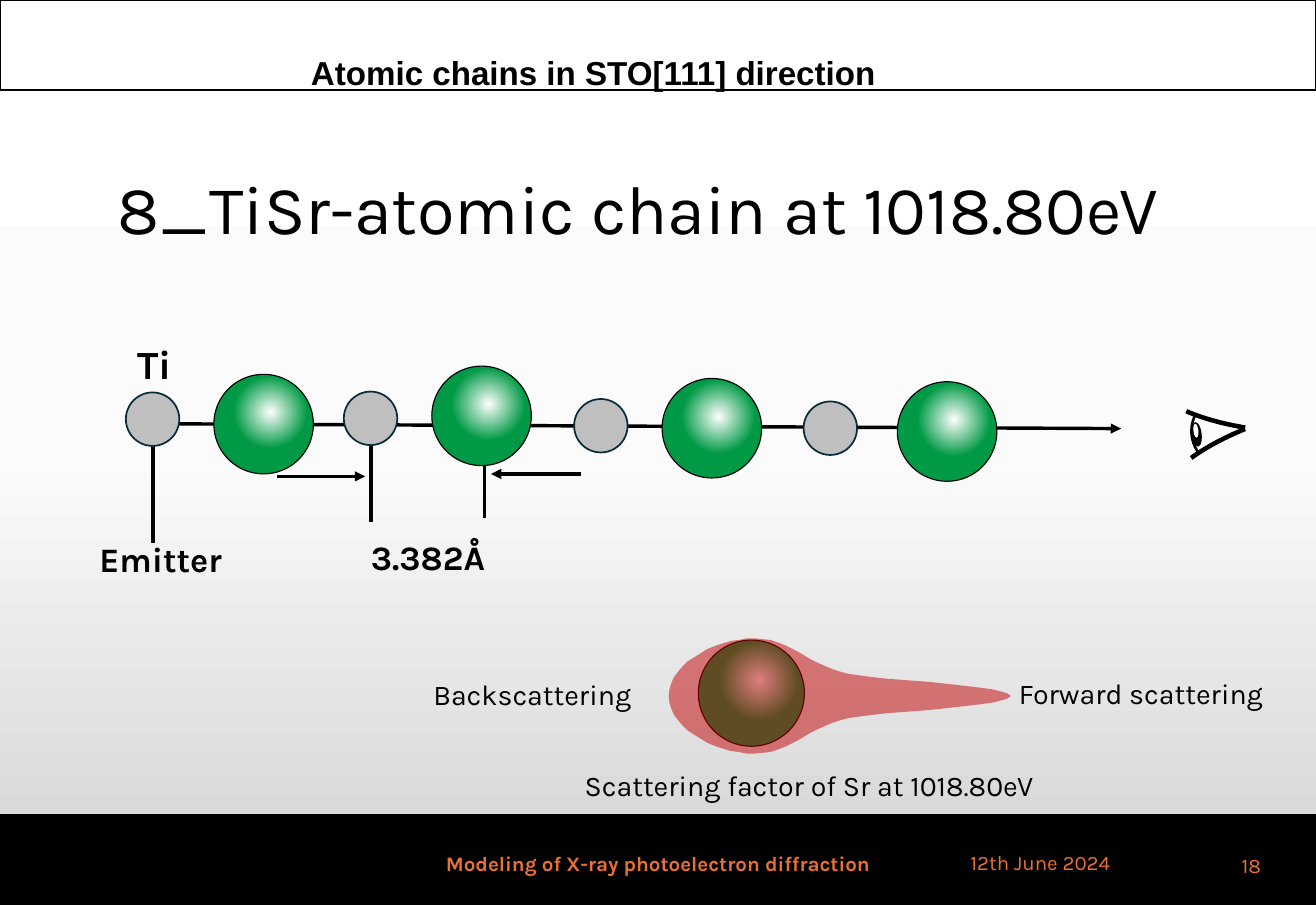
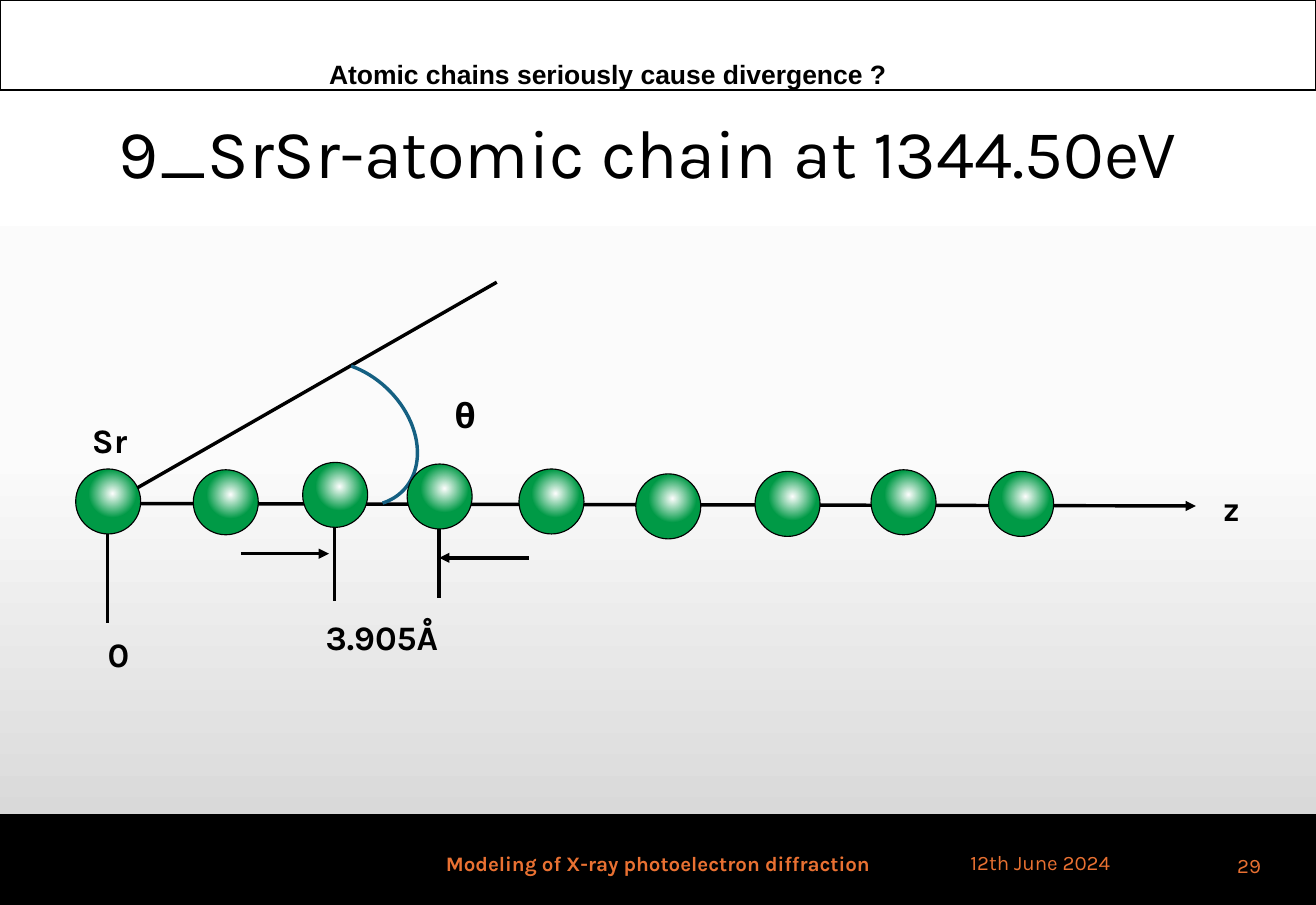
from pptx import Presentation
from pptx.dml.color import RGBColor
from pptx.enum.shapes import MSO_CONNECTOR, MSO_SHAPE
from pptx.enum.text import MSO_ANCHOR, MSO_AUTO_SIZE, PP_ALIGN
from pptx.oxml import parse_xml
from pptx.oxml.ns import nsdecls, qn
from pptx.util import Inches, Pt

COLS, ROWS = 16, 11
BAND = 1.09
BLACK = RGBColor(0x00, 0x00, 0x00)
WHITE = RGBColor(0xFF, 0xFF, 0xFF)
ORANGE = RGBColor(0xE9, 0x71, 0x32)
GREEN = RGBColor(0x00, 0x9A, 0x46)
GREY = RGBColor(0xBF, 0xBF, 0xBF)
NAVY = RGBColor(0x09, 0x2A, 0x39)
BLUE = RGBColor(0x15, 0x60, 0x82)
RED = RGBColor(0xC0, 0x00, 0x00)
MIST = RGBColor(0xFB, 0xFB, 0xFB)
SILVER = RGBColor(0xD1, 0xD1, 0xD1)
BACK = [(0, WHITE, 100), (50, MIST, 100), (100, SILVER, 100)]
GLOW = [(0, WHITE, 100), (60, WHITE, 0)]
DOWN = '<a:lin ang="5400000" scaled="0"/>'
ROUND = ('<a:path path="circle"><a:fillToRect l="50000" t="50000" '
         'r="50000" b="50000"/></a:path>')
LOBE = [(0, 0), (.01, .08), (.03, .15), (.06, .22), (.11, .29), (.17, .36),
        (.23, .42), (.31, .47), (.39, .52), (.47, .57), (.57, .61),
        (.66, .64), (.76, .67), (.85, .68), (.95, .7), (1.05, .7),
        (1.15, .69), (1.24, .68), (1.33, .65), (1.41, .62), (1.49, .58),
        (1.57, .54), (1.72, .45), (1.8, .41), (1.89, .37), (1.98, .33),
        (2.07, .3), (2.18, .27), (2.32, .25), (2.47, .23), (2.65, .21),
        (3.18, .17), (3.45, .14), (3.63, .12), (3.8, .1), (3.94, .08),
        (4.06, .05), (4.12, .03), (4.16, 0)]


def blend(host, stops, kind):
    marks = "".join(
        f'<a:gs pos="{pos * 1000}"><a:srgbClr val="{tone}">'
        f'<a:alpha val="{alpha * 1000}"/></a:srgbClr></a:gs>'
        for pos, tone, alpha in stops)
    old = next(host.iter(qn("a:solidFill")))
    old.getparent().replace(old, parse_xml(
        f'<a:gradFill {nsdecls("a")} rotWithShape="1">'
        f'<a:gsLst>{marks}</a:gsLst>{kind}</a:gradFill>'))


def style(item, fill=None, edge=None, width=1):
    item.shadow.inherit = False
    if fill is None:
        item.fill.background()
    else:
        item.fill.solid()
        item.fill.fore_color.rgb = fill
    if edge is None:
        item.line.fill.background()
    else:
        item.line.color.rgb = edge
        item.line.width = Pt(width)
    return item


def shape(slide, kind, box, *look, turn=0):
    item = slide.shapes.add_shape(kind, *map(Inches, box))
    item.rotation = turn
    return style(item, *look)


def arc(slide, box, ends, turn, edge, width):
    item = shape(slide, MSO_SHAPE.ARC, box, None, edge, width, turn=turn)
    item.adjustments[0], item.adjustments[1] = ends
    return item


def line(slide, start, end, width=3, tip=False):
    item = slide.shapes.add_connector(
        MSO_CONNECTOR.STRAIGHT, *map(Inches, (*start, *end)))
    item.line.color.rgb = BLACK
    item.line.width = Pt(width)
    if tip:
        item.line._get_or_add_ln().append(
            parse_xml(f'<a:tailEnd {nsdecls("a")} type="triangle"/>'))
    item._element.spPr.append(parse_xml(f'<a:effectLst {nsdecls("a")}/>'))
    return item


def write(para, text, size, bold=False, tone=BLACK, face="Karla"):
    run = para.add_run()
    run.text = text
    font = run.font
    font.name, font.size, font.bold = face, Pt(size), bold
    font.color.rgb = tone
    return run


def label(slide, box, text, size, bold=False, tone=BLACK, face="Karla",
          align=PP_ALIGN.LEFT, anchor=MSO_ANCHOR.TOP):
    frame = slide.shapes.add_textbox(*map(Inches, box)).text_frame
    frame.word_wrap = True
    frame.vertical_anchor = anchor
    para = frame.paragraphs[0]
    para.alignment = align
    return frame, write(para, text, size, bold, tone, face)


def master(deck, slide):
    base = deck.slide_master
    base.background.fill.solid()
    base.background.fill.fore_color.rgb = WHITE
    blend(base._element, BACK, DOWN)
    rect = MSO_SHAPE.RECTANGLE
    parts = [
        shape(slide, rect, (0, 0, COLS, BAND), WHITE, BLACK, 1.5),
        shape(slide, rect, (0, ROWS - BAND, COLS, BAND), BLACK, BLACK, 1.5),
        line(slide, (0, BAND), (COLS, BAND), 1.5)]
    for mark, part in enumerate(parts, 20):
        part._element.xpath(".//p:cNvPr")[0].set("id", str(mark))
        base.shapes._spTree.append(part._element)


def title(slide, text, left, top):
    item = slide.shapes.title
    item.left, item.top = Inches(left), Inches(top)
    item.width, item.height = Inches(13.8), Inches(2.13)
    frame = item.text_frame
    frame.word_wrap = True
    frame.auto_size = MSO_AUTO_SIZE.NONE
    frame.vertical_anchor = MSO_ANCHOR.MIDDLE
    para = frame.paragraphs[0]
    para.alignment = PP_ALIGN.LEFT
    para.line_spacing = .9
    write(para, text, 60)


def head(slide, text, left, top, size):
    frame, run = label(slide, (left, top, 8.71, BAND - top), text, size,
                       True, face="Arial")
    frame.margin_left = Inches(.14)
    run._r.get_or_add_rPr().set("baseline", "23000")


def foot(slide, page):
    for left, top, wide, text, bold, align in (
            (5.3, 10.2, 5.4, "Modeling of X-ray photoelectron diffraction",
             True, PP_ALIGN.CENTER),
            (14.9, 10.22, .53, page, False, PP_ALIGN.RIGHT),
            (11.7, 10.18, 2.2, "12th June 2024", False, PP_ALIGN.LEFT)):
        label(slide, (left, top, wide, .59), text, 18, bold, ORANGE,
              align=align, anchor=MSO_ANCHOR.MIDDLE)


def ball(slide, left, top, size):
    shape(slide, MSO_SHAPE.OVAL, (left, top, size, size), GREEN, BLACK)
    side = .86 * size
    glow = shape(slide, MSO_SHAPE.OVAL,
                 (left + .14 * size, top - .05 * size, side, side), WHITE)
    blend(glow._element.spPr, GLOW, ROUND)


def eye(slide, left, top):
    lid = (.59215, .97093)
    lid = tuple(100 * end / 100 for end in lid)
    low = arc(slide, (left + .07, top + .66, 2.37, .7), (59.215, 97.093),
              338.6, BLACK, 4)
    low._element.spPr.find(qn("a:xfrm")).set("flipV", "1")
    arc(slide, (left, top, 2.37, .7), (59.215, 97.093), 8.6, BLACK, 4)
    arc(slide, (left + .38, top + .39, .79, .7), (31.818, 77.1), 83.6,
        BLACK, 2.25)
    for dx, dy, wide, high, tone in ((.43, .62, .12, .3, BLACK),
                                     (.45, .64, .06, .17, WHITE)):
        shape(slide, MSO_SHAPE.OVAL, (left + dx, top + dy, wide, high),
              tone, turn=353.6)


def axis(slide, left, top, lines, notes):
    for x, y, dx, dy, tip in lines:
        line(slide, (left + x, top + y), (left + x + dx, top + y + dy),
             tip=tip)
    for x, y, wide, text, size in notes:
        label(slide, (left + x, top + y, wide, .61), text, size, True)


def mixed(slide, left, top):
    axis(slide, left, top,
         [(.33, .68, 0, 1.47, False), (.29, .7, 11.81, .06, True),
          (4.36, .7, 0, 1.15, False), (2.98, .74, 0, 1.15, False),
          (5.53, 1.31, -1.09, 0, True), (1.84, 1.34, 1.07, 0, True)],
         [(-.42, 2.04, 3.39, "Emitter", 30), (.04, -.37, 1.61, "Ti", 35),
          (2.88, 2.02, 2.23, "3.382Å", 30)])
    for x, y in ((0, .32), (2.65, .31), (5.45, .4), (8.24, .43)):
        shape(slide, MSO_SHAPE.FLOWCHART_CONNECTOR,
              (left + x, top + y, .65, .65), GREY, NAVY, 1.5)
    for x, y in ((1.07, .1), (3.72, 0), (6.52, .15), (9.38, .19)):
        ball(slide, left + x, top + y, 1.21)


def lobe(slide, left, top):
    ball(slide, left + .36, top + .02, 1.29)
    edge = LOBE + [(x, -y) for x, y in LOBE[-2:0:-1]]
    points = [(Inches(left + x), Inches(top + .7 - y)) for x, y in edge]
    pen = slide.shapes.build_freeform(*points[0])
    pen.add_line_segments(points[1:], close=True)
    item = style(pen.convert_to_shape(), RED)
    tone = next(item._element.spPr.iter(qn("a:srgbClr")))
    tone.append(parse_xml(f'<a:alpha {nsdecls("a")} val="50000"/>'))
    for x, y, wide, text in (
            (-2.96, .42, 2.68, "Backscattering"),
            (4.16, .41, 3.39, "Forward scattering"),
            (-1.12, 1.52, 6.39, "Scattering factor of Sr at 1018.80eV")):
        label(slide, (left + x, top + y, wide, .52), text, 25)


def plain(slide, left, top):
    axis(slide, left, top,
         [(.39, .48, 0, 1.47, False), (.35, .5, 13.27, .03, True),
          (4.42, .5, 0, 1.15, False), (3.15, .53, 0, 1.16, False),
          (5.51, 1.16, -1.09, 0, True), (2.01, 1.11, 1.07, 0, True),
          (.47, .47, 4.65, -2.66, False)],
         [(.29, 2.03, .43, "0", 30), (.1, -.57, 1.61, "Sr", 30),
          (4.51, -.88, 1.07, "θ", 30), (13.85, .25, .66, "z", 30),
          (2.94, 1.82, 2.23, "3.905Å", 30)])
    arc(slide, (left + 2.26, top - 1.11, 2, 1.52), (139.81, 10.573), 43.2,
        BLUE, 3)
    for x, y in ((11.1, .11), (9.67, .09), (8.26, .11), (6.81, .14),
                 (5.39, .08), (4.03, .02), (2.76, 0), (1.43, .09),
                 (0, .08)):
        ball(slide, left + x, top + y, .79)


def main():
    deck = Presentation()
    deck.slide_width, deck.slide_height = Inches(COLS), Inches(ROWS)
    first, second = (deck.slides.add_slide(deck.slide_layouts[5])
                     for _ in range(2))
    master(deck, first)
    title(first, "8_TiSr-atomic chain at 1018.80eV", 1.33, 1.51)
    head(first, "Atomic chains in STO[111] direction", 3.64, .45, 50)
    foot(first, "18")
    eye(first, 14.06, 4.51)
    mixed(first, 1.53, 4.45)
    lobe(first, 8.13, 7.76)
    title(second, "9_SrSr-atomic chain at 1344.50eV", 1.34, .83)
    head(second, "Atomic chains seriously cause divergence ?", 3.86, .55, 40)
    foot(second, "29")
    plain(second, .92, 5.62)
    deck.save("out.pptx")


if __name__ == "__main__":
    main()
